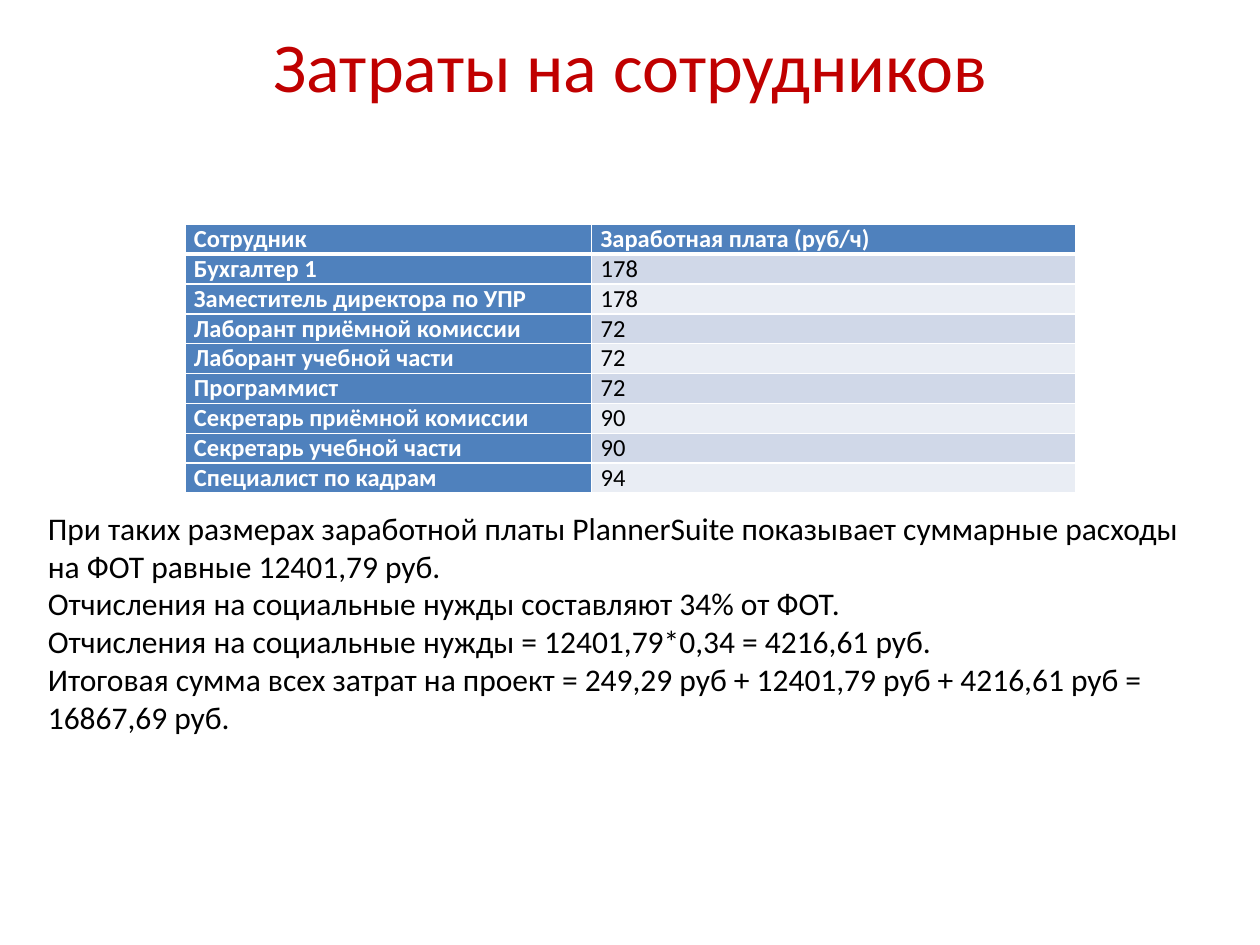
import pptx
import pptx.dml.color
import pptx.enum.text
import pptx.oxml
import pptx.oxml.ns
import pptx.util
import lxml.etree

Cm = pptx.util.Cm
Pt = pptx.util.Pt
ALIGN = pptx.enum.text.PP_ALIGN
ANCHOR = pptx.enum.text.MSO_ANCHOR

HUES = {
    "title": "C00000",
    "text": "000000",
    "light": "FFFFFF",
    "head": "4F81BD",
    "odd": "D0D8E8",
    "even": "E9EDF4",
}

FONTS = {
    "title": {"name": "Calibri", "size": Pt(40), "bold": False},
    "head": {"name": "Calibri", "size": Pt(14), "bold": True},
    "cell": {"name": "Calibri", "size": Pt(14), "bold": False},
    "body": {"name": "Calibri", "size": Pt(18), "bold": False},
}

TITLE = "Затраты на сотрудников"

ROWS = [
    ("Сотрудник", "Заработная плата (руб/ч)"),
    ("Бухгалтер 1", "178"),
    ("Заместитель директора по УПР", "178"),
    ("Лаборант приёмной комиссии", "72"),
    ("Лаборант учебной части", "72"),
    ("Программист", "72"),
    ("Секретарь приёмной комиссии", "90"),
    ("Секретарь учебной части", "90"),
    ("Специалист по кадрам", "94"),
]

NOTES = [
    "При таких размерах заработной платы PlannerSuite показывает "
    "суммарные расходы на ФОТ равные 12401,79 руб.",
    "Отчисления на социальные нужды составляют 34% от ФОТ.",
    "Отчисления на социальные нужды = 12401,79*0,34 = 4216,61 руб.",
    "Итоговая сумма всех затрат на проект = 249,29 руб + 12401,79 руб "
    "+ 4216,61 руб = 16867,69 руб.",
]


def apply(item, values):
    for name, value in values.items():
        setattr(item, name, value)


def color(key):
    return pptx.dml.color.RGBColor.from_string(HUES[key])


def write(para, text, font, hue):
    run = para.add_run()
    run.text = text
    apply(run.font, FONTS[font])
    run.font.color.rgb = color(hue)


def place(shape, box):
    names = ("left", "top", "width", "height")
    apply(shape, dict(zip(names, map(Cm, box))))


def edge(cell, side, width):
    props = cell._tc.get_or_add_tcPr()
    line = lxml.etree.SubElement(props, pptx.oxml.ns.qn("a:ln" + side), w=str(Pt(width)))
    fill = lxml.etree.SubElement(line, pptx.oxml.ns.qn("a:solidFill"))
    lxml.etree.SubElement(fill, pptx.oxml.ns.qn("a:srgbClr"), val=HUES["light"])


def add_title(slide, box):
    shape = slide.shapes.title
    place(shape, box)
    frame = shape.text_frame
    apply(frame, {"word_wrap": False, "vertical_anchor": ANCHOR.MIDDLE})
    para = frame.paragraphs[0]
    para.alignment = ALIGN.CENTER
    write(para, TITLE, "title", "title")


def add_costs(slide, box, widths):
    frame = slide.shapes.add_table(len(ROWS), len(widths), *map(Cm, box))
    table = frame.table
    apply(table, {"first_row": False, "horz_banding": False})
    for col, width in zip(table.columns, widths):
        col.width = Cm(width)
    for row in table.rows:
        row.height = Cm(box[3] / len(ROWS))
    pads = {
        "margin_left": Cm(0.18),
        "margin_right": Cm(0.18),
        "margin_top": 0,
        "margin_bottom": 0,
    }
    for r, row in enumerate(ROWS):
        for c, text in enumerate(row):
            cell = table.cell(r, c)
            apply(cell, pads)
            for side in "LRTB":
                thick = (r, side) in ((0, "B"), (1, "T"))
                edge(cell, side, 3 if thick else 1)
            head = r == 0 or c == 0
            band = "odd" if r % 2 else "even"
            cell.fill.solid()
            cell.fill.fore_color.rgb = color("head" if head else band)
            look = ("head", "light") if head else ("cell", "text")
            write(cell.text_frame.paragraphs[0], text, *look)


def add_notes(slide, box):
    shape = slide.placeholders[1]
    place(shape, box)
    frame = shape.text_frame
    apply(frame, {"word_wrap": True, "vertical_anchor": ANCHOR.TOP})
    for i, text in enumerate(NOTES):
        para = frame.add_paragraph() if i else frame.paragraphs[0]
        apply(para, {"alignment": ALIGN.LEFT, "space_before": Pt(0)})
        props = para._p.get_or_add_pPr()
        props.set("marL", "0")
        props.set("indent", "0")
        lxml.etree.SubElement(props, pptx.oxml.ns.qn("a:buNone"))
        write(para, text, "body", "text")


def main():
    deck = pptx.Presentation()
    apply(deck, {"slide_width": Cm(25.4), "slide_height": Cm(19.05)})
    slide = deck.slides.add_slide(deck.slide_layouts[1])
    add_title(slide, (5.18, 0.33, 15.06, 1.96))
    add_costs(slide, (3.73, 4.52, 17.95, 5.33), (8.2, 9.75))
    add_notes(slide, (0.71, 10.13, 24, 4.88))
    deck.save("out.pptx")


if __name__ == "__main__":
    main()
